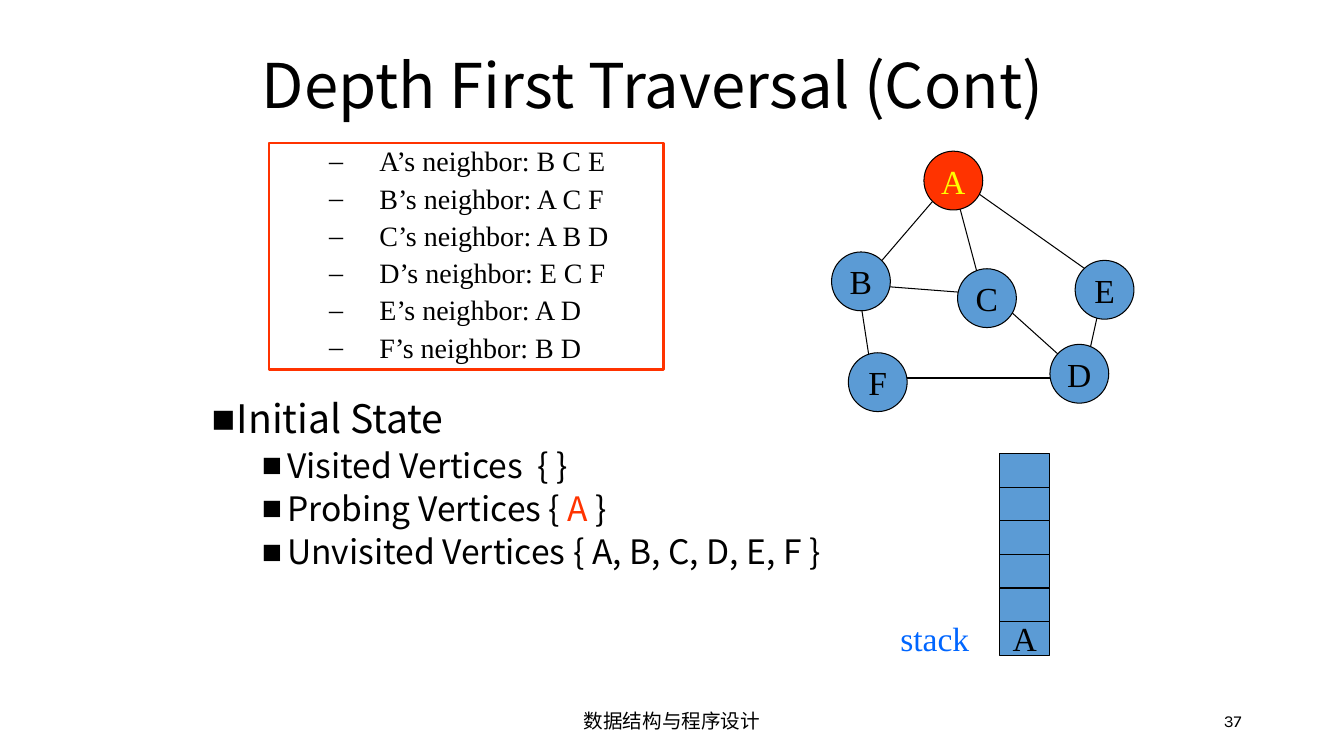
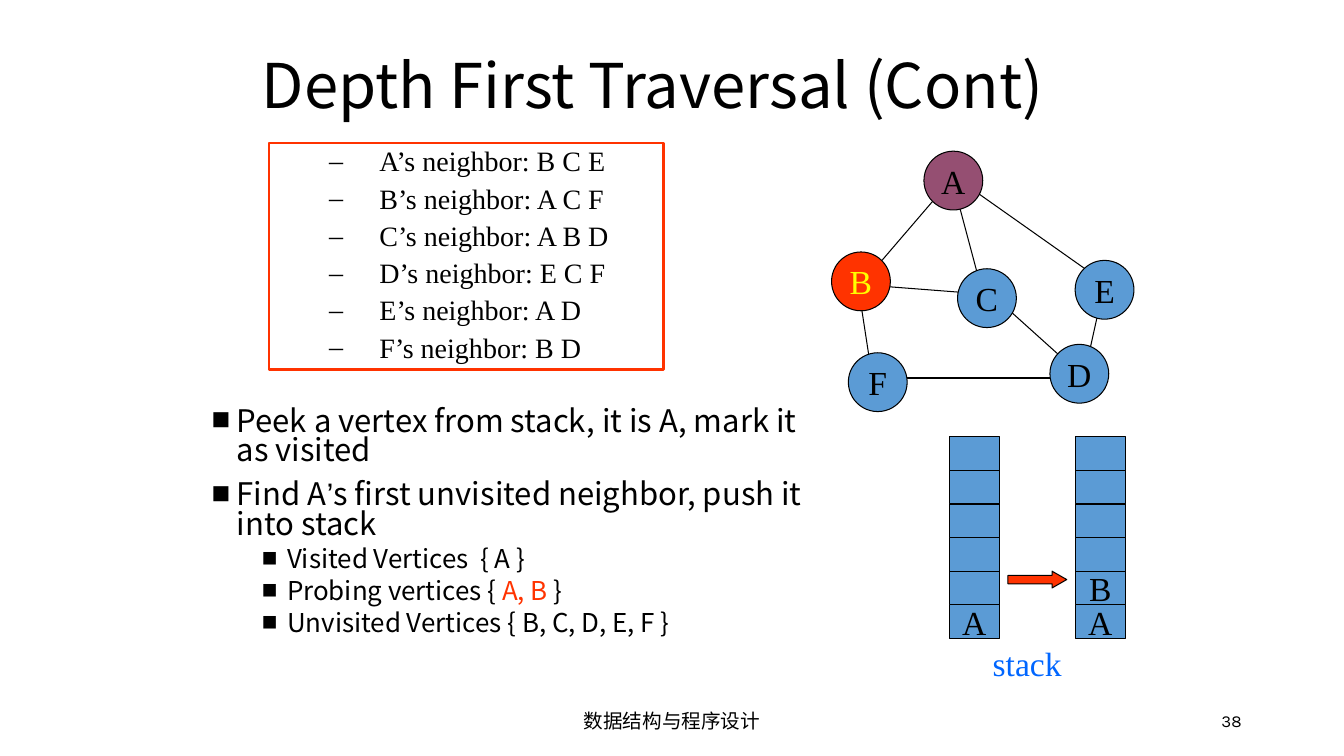
from lxml.etree import SubElement
from pptx import Presentation
from pptx.dml.color import RGBColor
from pptx.enum.shapes import MSO_CONNECTOR, MSO_SHAPE
from pptx.enum.text import MSO_ANCHOR, PP_ALIGN
from pptx.oxml.ns import qn
from pptx.util import Pt

BLACK = RGBColor(0x00, 0x00, 0x00)
PROBING_RED = RGBColor(0xFF, 0x33, 0x00)
PROBING_YELLOW = RGBColor(0xFF, 0xFF, 0x00)
UNVISITED_BLUE = RGBColor(0x5B, 0x9B, 0xD5)
VISITED_PURPLE = RGBColor(0x95, 0x4F, 0x72)
LABEL_BLUE = RGBColor(0x00, 0x66, 0xFF)

SANS = "Noto Sans CJK SC"
SERIF = "Times New Roman"
TITLE_FONT = {"name": SANS, "size": Pt(44)}
FOOTER_FONT = {"name": "Karla", "size": Pt(14)}
NUMBER_FONT = {"name": "Karla", "size": Pt(12)}
NEIGHBOR_FONT = {"name": SERIF, "size": Pt(20)}
LETTER_FONT = {"name": SERIF, "size": Pt(24)}

NODE_SIZE = 42
CELL_WIDTH, CELL_HEIGHT, CELL_COUNT = 36, 24, 6
NODES = {"A": (660, 108), "B": (594, 180), "C": (684, 192),
         "E": (768, 186), "F": (606, 252), "D": (750, 246)}
EDGES = [
    (624, 204, 702, 210), (666, 144, 630, 186),
    (678, 120, 702, 210), (690, 132, 792, 204),
    (612, 198, 624, 276), (786, 216, 774, 270),
    (708, 210, 768, 264), (636, 270, 762, 270),
]
NEIGHBORS = {"A": "B C E", "B": "A C F", "C": "A B D",
             "D": "E C F", "E": "A D", "F": "B D"}


def points(*lengths):
    return [Pt(length) for length in lengths]


def apply(target, values):
    for name, value in values.items():
        setattr(target, name, value)


class TraversalDeck:
    """Holds the shared style and the slide being filled."""

    def __init__(self):
        self.deck = Presentation()
        apply(self.deck, {"slide_width": Pt(960), "slide_height": Pt(540)})
        self.slide = None

    def start_slide(self, number):
        self.slide = self.deck.slides.add_slide(self.deck.slide_layouts[6])
        self.text((318, 500.4, 324, 28.8), "数据结构与程序设计", FOOTER_FONT,
                  alignment=PP_ALIGN.CENTER)
        self.text((678, 500.4, 216, 28.8), number, NUMBER_FONT,
                  alignment=PP_ALIGN.RIGHT)
        self.text((180, 18, 612, 90), "Depth First Traversal (Cont)",
                  TITLE_FONT, line_spacing=0.9)

    def run(self, paragraph, text, font, color=BLACK):
        run = paragraph.add_run()
        run.text = text
        apply(run.font, font)
        run.font.color.rgb = color

    def text(self, box, text, font, color=BLACK, anchor=MSO_ANCHOR.MIDDLE,
             **paragraph_format):
        frame = self.slide.shapes.add_textbox(*points(*box)).text_frame
        apply(frame, {"word_wrap": True, "vertical_anchor": anchor})
        apply(frame.paragraphs[0], paragraph_format)
        self.run(frame.paragraphs[0], text, font, color)

    def shape(self, kind, box, fill=None, line=BLACK, weight=0.75):
        shape = self.slide.shapes.add_shape(kind, *points(*box))
        shape.shadow.inherit = False
        if fill is None:
            shape.fill.background()
        else:
            shape.fill.solid()
            shape.fill.fore_color.rgb = fill
        shape.line.color.rgb = line
        shape.line.width = Pt(weight)
        return shape

    def letter(self, shape, letter, color=BLACK):
        frame = shape.text_frame
        apply(frame, {"word_wrap": False,
                      "vertical_anchor": MSO_ANCHOR.MIDDLE})
        frame.paragraphs[0].alignment = PP_ALIGN.CENTER
        self.run(frame.paragraphs[0], letter, LETTER_FONT, color)

    def bullet(self, frame, index, mark, mark_font, margin, hanging, values):
        """Return the paragraph for the item at index, with its bullet set."""
        paragraph = frame.paragraphs[0] if index == 0 else frame.add_paragraph()
        properties = paragraph._p.get_or_add_pPr()
        properties.set("marL", str(Pt(margin)))
        properties.set("indent", str(-Pt(hanging)))
        SubElement(properties, qn("a:buFont")).set("typeface", mark_font)
        SubElement(properties, qn("a:buChar")).set("char", mark)
        apply(paragraph, values)
        if index == 0:
            paragraph.space_before = Pt(0)
        return paragraph

    def neighbors(self):
        panel = self.shape(MSO_SHAPE.RECTANGLE, (192, 102, 282, 162),
                           line=PROBING_RED, weight=1.5)
        frame = panel.text_frame
        apply(frame, {"word_wrap": True, "vertical_anchor": MSO_ANCHOR.TOP})
        values = {"level": 1, "line_spacing": 0.9, "space_before": Pt(5),
                  "alignment": PP_ALIGN.LEFT}
        for index, (vertex, adjacent) in enumerate(NEIGHBORS.items()):
            item = self.bullet(frame, index, "–", SERIF, 72, 36, values)
            self.run(item, f"{vertex}’s neighbor: {adjacent}", NEIGHBOR_FONT)

    def state(self, box, items, sizes, line_spacing):
        """Write (level, runs) items; a run is (text, color, font name)."""
        frame = self.slide.shapes.add_textbox(*points(*box)).text_frame
        frame.word_wrap = True
        for index, (level, runs) in enumerate(items):
            values = {"level": level, "line_spacing": line_spacing,
                      "space_before": Pt((10, 5)[level])}
            item = self.bullet(frame, index, "■", "Arial", 18 + 36 * level, 18,
                               values)
            for text, color, font_name in runs:
                font = {"name": font_name, "size": Pt(sizes[level])}
                self.run(item, text, font, color)

    def graph(self, probing, visited=""):
        for edge in EDGES:
            line = self.slide.shapes.add_connector(
                MSO_CONNECTOR.STRAIGHT, *points(*edge))
            line.line.color.rgb = BLACK
            line.line.width = Pt(0.75)
            SubElement(line._element.spPr, qn("a:effectLst"))
        for vertex, (left, top) in NODES.items():
            fill, color = UNVISITED_BLUE, BLACK
            if vertex in probing:
                fill, color = PROBING_RED, PROBING_YELLOW
            elif vertex in visited:
                fill = VISITED_PURPLE
            node = self.shape(MSO_SHAPE.OVAL,
                              (left, top, NODE_SIZE, NODE_SIZE), fill)
            self.letter(node, vertex, color)

    def stack(self, left, top, content):
        """Draw a stack whose content is listed from the bottom up."""
        for level in range(CELL_COUNT):
            cell_top = top + (CELL_COUNT - 1 - level) * CELL_HEIGHT
            cell = self.shape(MSO_SHAPE.RECTANGLE,
                              (left, cell_top, CELL_WIDTH, CELL_HEIGHT),
                              UNVISITED_BLUE)
            if level < len(content):
                self.letter(cell, content[level])

    def stack_label(self, left, top):
        self.text((left, top, 66, 36), "stack", LETTER_FONT, LABEL_BLUE,
                  MSO_ANCHOR.TOP)

    def push_arrow(self, box):
        arrow = self.shape(MSO_SHAPE.RIGHT_ARROW, box, PROBING_RED)
        arrow.adjustments[0] = 0.5
        arrow.adjustments[1] = 0.875


def plain(level, text):
    return level, [(text, BLACK, SANS)]


def probing_item(lead, vertices):
    return 1, [(lead, BLACK, SANS), (vertices, PROBING_RED, SANS),
               (" }", BLACK, SANS)]


def main():
    deck = TraversalDeck()

    deck.start_slide("37")
    deck.graph(probing="A")
    deck.neighbors()
    deck.state((144, 282, 528, 180), [
        plain(0, "Initial State"),
        plain(1, "Visited Vertices  { }"),
        probing_item("Probing Vertices { ", "A"),
        plain(1, "Unvisited Vertices { A, B, C, D, E, F }"),
    ], sizes=(28, 24), line_spacing=0.9)
    deck.stack(714, 324, "A")
    deck.stack_label(636, 438)

    deck.start_slide("38")
    deck.graph(probing="B", visited="A")
    deck.neighbors()
    deck.state((144, 288, 450, 180), [
        plain(0, "Peek a vertex from stack, it is A, mark it as visited"),
        (0, [("Find A", BLACK, SANS), ("’", BLACK, "Arial"),
             ("s first unvisited neighbor, push it into stack", BLACK, SANS)]),
        plain(1, "Visited Vertices  { A }"),
        probing_item("Probing vertices { ", "A, B"),
        plain(1, "Unvisited Vertices { B, C, D, E, F }"),
    ], sizes=(22.2, 18.5), line_spacing=0.8)
    deck.stack(678, 312, "A")
    deck.stack(768, 312, "AB")
    deck.stack_label(702, 456)
    deck.push_arrow((720, 408, 42, 12))

    deck.deck.save("out.pptx")


if __name__ == "__main__":
    main()
